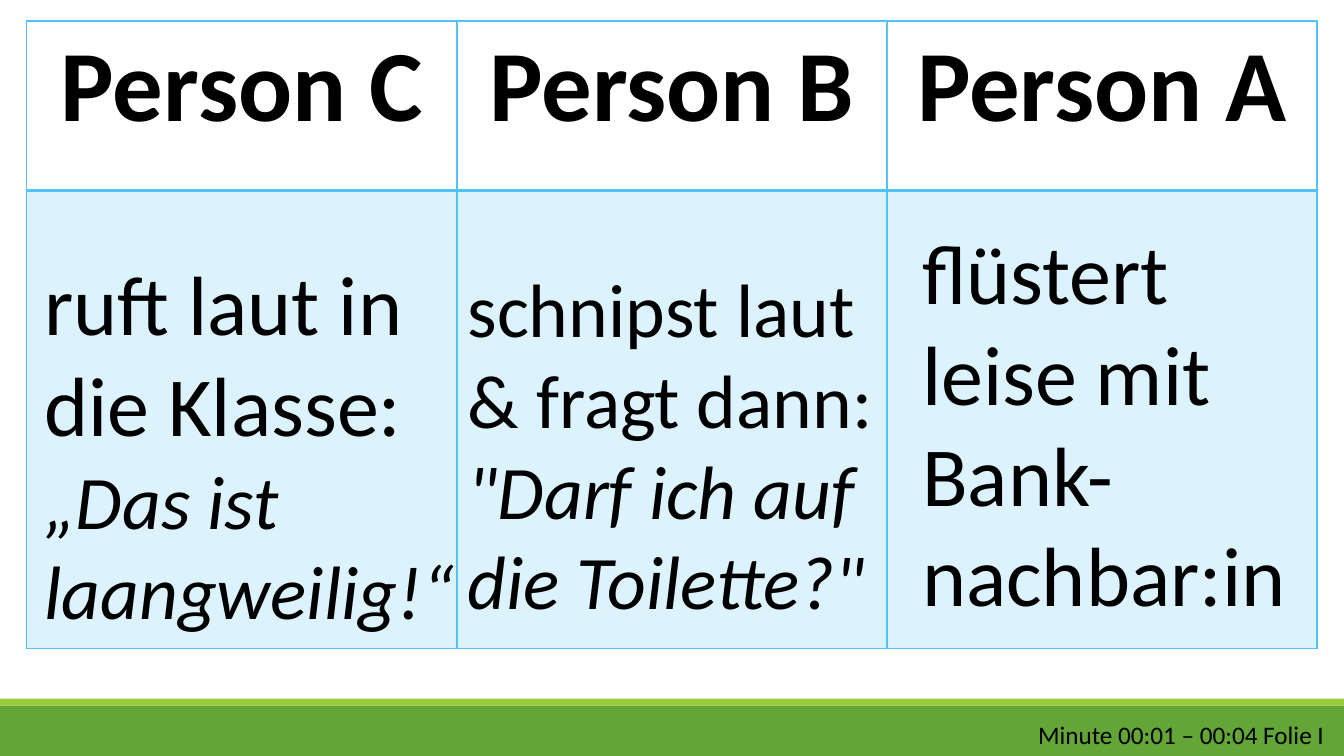
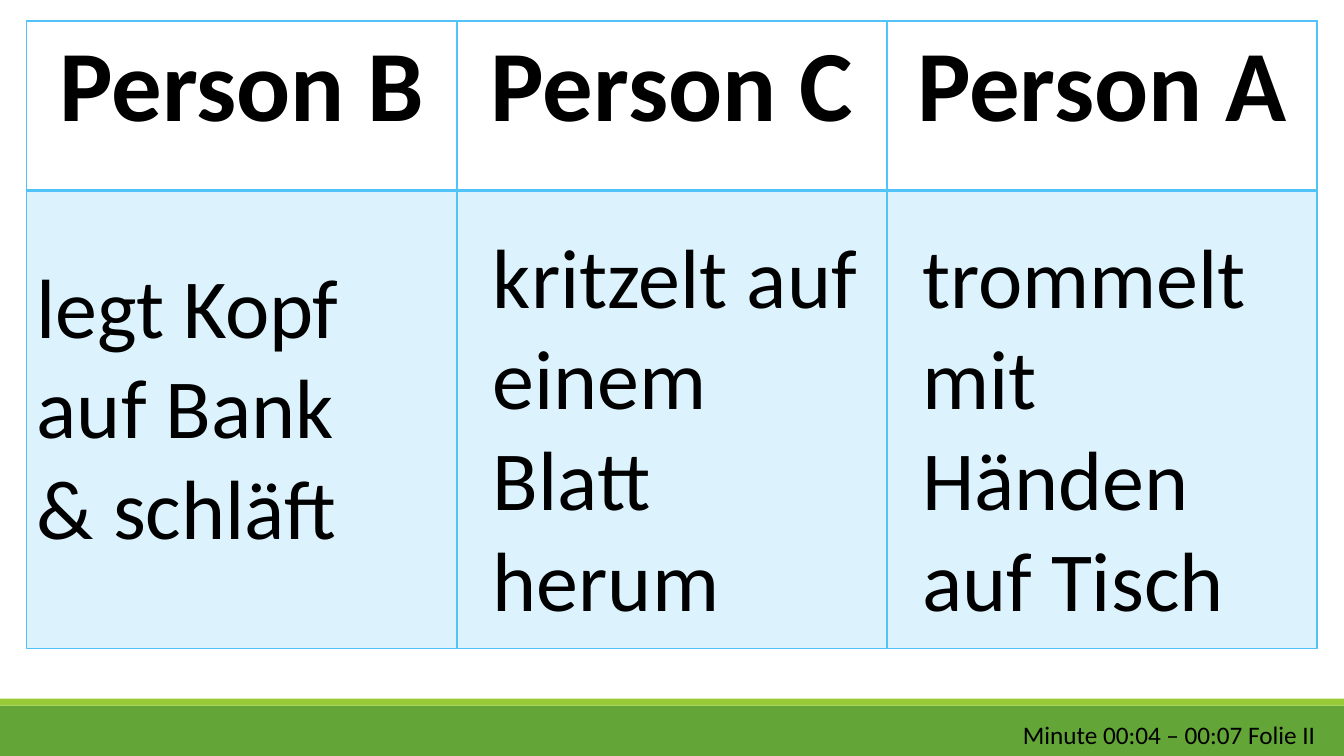
from lxml import etree
from pptx import Presentation
from pptx.dml.color import RGBColor
from pptx.enum import shapes, text
from pptx.oxml import ns
from pptx.util import Pt

BLACK = RGBColor(0x00, 0x00, 0x00)
GREEN = RGBColor(0x63, 0xA5, 0x37)
LIME = RGBColor(0x99, 0xCB, 0x38)
BLUE = RGBColor(0x51, 0xC3, 0xF9)
PALE_BLUE = RGBColor(0xDC, 0xF3, 0xFE)
FONT = "Calibri"
WIDTH, HEIGHT = 960, 540
COLUMN, HEAD_ROW, BODY_ROW = 307.2, 121, 327


def add_text(tf, words, size=60, bold=False, italic=False, align=None, new=False):
    """Write one formatted paragraph into a text frame."""
    p = tf.add_paragraph() if new else tf.paragraphs[0]
    p.alignment = align
    r = p.add_run()
    r.text = words
    r.font.name, r.font.size = FONT, Pt(size)
    r.font.bold, r.font.italic = bold, italic
    r.font.color.rgb = BLACK


def add_box(s, left, top, width, height, *lines):
    """Add a wrapped text box from pairs of wording and format."""
    tf = s.shapes.add_textbox(Pt(left), Pt(top), Pt(width), Pt(height)).text_frame
    tf.word_wrap = True
    for i, (words, style) in enumerate(lines):
        add_text(tf, words, new=i > 0, **style)


def add_band(s, top, height, color):
    """Add a full-width colour band."""
    sp = s.shapes.add_shape(shapes.MSO_SHAPE.RECTANGLE, 0, Pt(top), Pt(WIDTH), Pt(height))
    sp.shadow.inherit = False
    sp.fill.solid()
    sp.fill.fore_color.rgb = color
    sp.line.fill.background()


def set_borders(cell, **widths):
    """Draw the cell borders in blue with the given widths."""
    tc_pr = cell._tc.get_or_add_tcPr()
    for side in "LRTB":
        ln = etree.SubElement(tc_pr, ns.qn(f"a:ln{side}"), w=str(Pt(widths.get(side, 1))))
        fill = etree.SubElement(ln, ns.qn("a:solidFill"))
        etree.SubElement(fill, ns.qn("a:srgbClr"), val=str(BLUE))


def add_person_table(s, people):
    """Add the table with one column per person."""
    table = s.shapes.add_table(2, len(people), Pt(19.2), Pt(15),
                               Pt(COLUMN * len(people)), Pt(HEAD_ROW + BODY_ROW)).table
    table.first_row = table.horz_banding = False
    table.rows[0].height, table.rows[1].height = Pt(HEAD_ROW), Pt(BODY_ROW)
    for i, person in enumerate(people):
        table.columns[i].width = Pt(COLUMN)
        head, body = table.cell(0, i), table.cell(1, i)
        set_borders(head, B=2)
        head.fill.background()
        add_text(head.text_frame, f"Person {person}", size=72, bold=True,
                 align=text.PP_ALIGN.CENTER)
        set_borders(body, T=2)
        body.fill.solid()
        body.fill.fore_color.rgb = PALE_BLUE


def add_slide(prs, people, boxes, footer, footer_left):
    """Add a slide with bands, person table, descriptions and footer."""
    s = prs.slides.add_slide(prs.slide_layouts[6])
    add_band(s, 504, 36, GREEN)
    add_band(s, 499, 5, LIME)
    add_person_table(s, people)
    for box in boxes:
        add_box(s, *box)
    add_box(s, footer_left, 510.5, 955 - footer_left, 29, (footer, {"size": 18}))


def main():
    """Build and save the presentation."""
    prs = Presentation()
    prs.slide_width, prs.slide_height = Pt(WIDTH), Pt(HEIGHT)
    add_slide(prs, "CBA", [
        (24.5, 176.4, 325.5, 284, ("ruft laut in die Klasse:", {}),
         ("„Das ist laangweilig!“", {"size": 54, "italic": True})),
        (326.9, 183.6, 306.7, 269, ("schnipst laut & fragt dann:", {"size": 54}),
         ('"Darf ich auf die Toilette?"', {"size": 54, "italic": True})),
        (651.6, 154, 284, 298, ("flüstert leise mit Bank-nachbar:in", {})),
    ], "Minute 00:01 – 00:04 Folie I", 734.4)
    add_slide(prs, "BCA", [
        (19.2, 178, 319, 225, ("legt Kopf auf Bank", {}), ("& schläft", {})),
        (345, 157, 283, 298, ("kritzelt auf einem Blatt herum", {})),
        (651.6, 157, 283, 298, ("trommelt mit Händen auf Tisch", {})),
    ], "Minute 00:04 – 00:07 Folie II", 723.6)
    prs.save("out.pptx")


if __name__ == "__main__":
    main()
